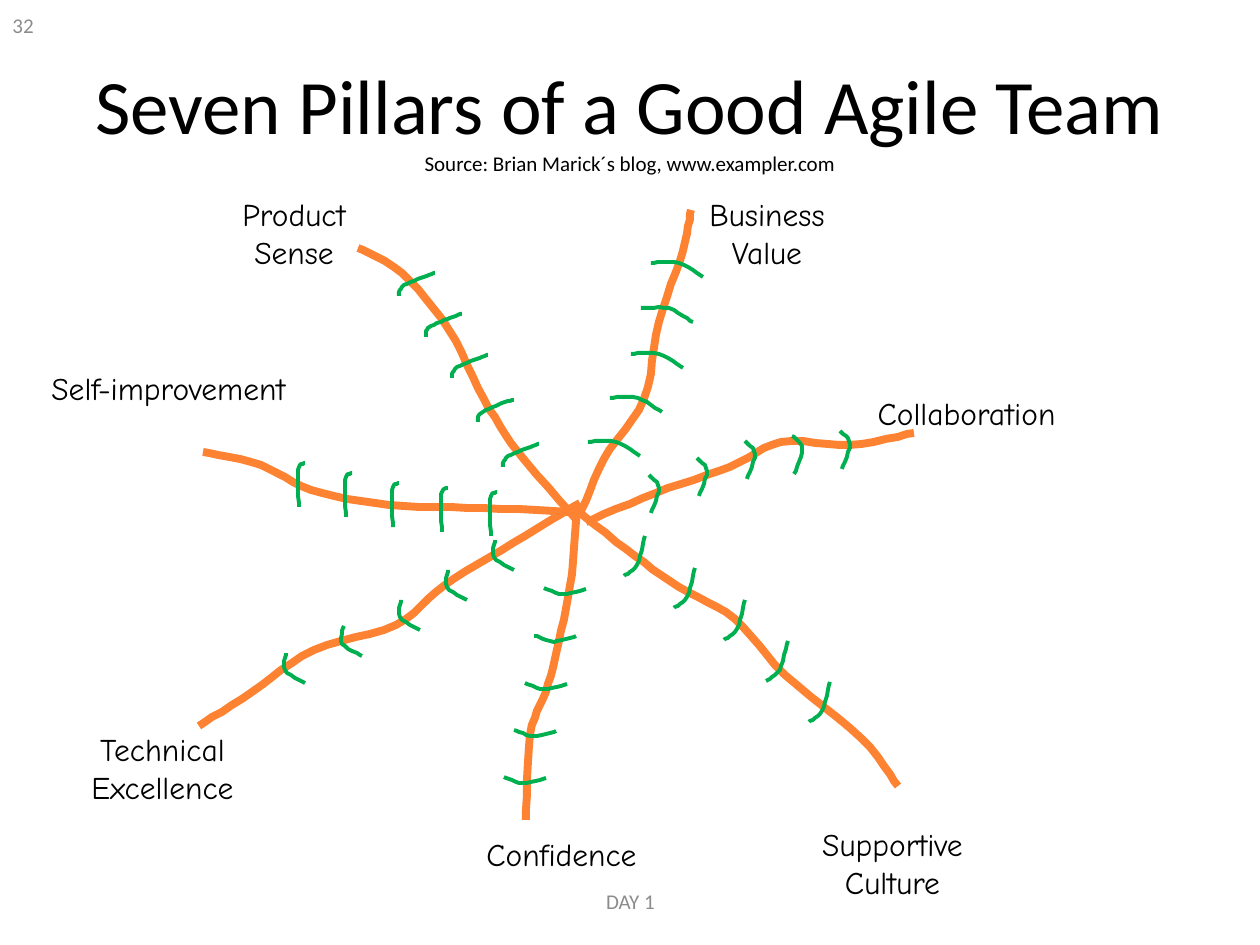
from pptx import Presentation
from pptx import util as u
from pptx.dml.color import RGBColor
from pptx.enum import text

PX = 914400 / 126

THEME = {
    "black": RGBColor.from_string("000000"),
    "grey": RGBColor.from_string("8C8C8C"),
    "pillar": RGBColor.from_string("FD8231"),
    "tick": RGBColor.from_string("00B050"),
    "pillar_width": 4.5,
    "tick_width": 2.25,
    "title_size": 44,
    "small_size": 12,
    "label_size": 18,
    "body_font": "Calibri",
    "label_font": "Comic Neue",
}
LINE_HEIGHTS = {1: 50, 2: 89}

TITLE = "Seven Pillars of a Good Agile Team"
SOURCE = "Source: Brian Marick´s blog, www.exampler.com"
TITLE_BOX = (63, 38, 1134, 157)

# text, box, alignment
MARGINALIA = [
    ("DAY 1", (431, 876, 399, 50), text.PP_ALIGN.CENTER),
    ("32", (0, 0, 294, 50), text.PP_ALIGN.LEFT),
]

# label: left, top, width, lines
# line: points of the pillar from the hub outwards
# tick: bends of one tick relative to its start
# at: starts of the first, middle and last of the five ticks
PILLARS = [
    {"name": "Supportive Culture", "label": (777, 819, 231, 2),
     "line": [(571, 505), (626, 549), (679, 587), (735, 619), (785, 675), (861, 738), (898, 786)],
     "tick": [(13, -11), (21, -40)],
     "at": [(624, 576), (724, 640), (809, 722)]},
    {"name": "Confidence", "label": (462, 829, 199, 1),
     "line": [(577, 505), (572, 575), (559, 641), (546, 692), (530, 735), (526, 820)],
     "tick": [(19, 6), (42, 1)],
     "at": [(544, 588), (525, 683), (504, 777)]},
    {"name": "Technical Excellence", "label": (63, 724, 199, 2),
     "line": [(580, 503), (513, 543), (445, 585), (396, 625), (314, 650), (252, 692), (199, 726)],
     "tick": [(-20, -13), (-19, -30)],
     "at": [(514, 570), (420, 630), (305, 683)]},
    {"name": "Self-improvement", "label": (32, 363, 273, 2),
     "line": [(577, 512), (483, 508), (389, 505), (311, 490), (261, 465), (203, 452)],
     "tick": [(-1, -37), (6, -44)],
     "at": [(491, 536), (393, 527), (299, 507)]},
    {"name": "Product Sense", "label": (189, 189, 210, 2),
     "line": [(575, 518), (518, 452), (484, 399), (449, 330), (402, 273), (358, 248)],
     "tick": [(-14, 5), (-33, 14), (-36, 23)],
     "at": [(539, 444), (488, 355), (435, 273)]},
    {"name": "Business Value", "label": (662, 189, 210, 2),
     "line": [(580, 515), (604, 459), (644, 399), (659, 322), (683, 251), (691, 210)],
     "tick": [(-24, -14), (-52, -14)],
     "at": [(640, 456), (683, 368), (703, 277)]},
    {"name": "Collaboration", "label": (851, 388, 231, 1),
     "line": [(586, 522), (656, 493), (730, 467), (781, 442), (850, 445), (914, 433)],
     "tick": [(8, -25), (-2, -38)],
     "at": [(651, 513), (747, 479), (842, 469)]},
]


def emu(lengths):
    return [u.Emu(round(length * PX)) for length in lengths]


def smooth(points, steps=6):
    """Run a Catmull-Rom curve through the points."""
    padded = [points[0], *points, points[-1]]
    curve = [points[0]]
    for before, start, end, after in zip(padded, padded[1:], padded[2:], padded[3:]):
        for step in range(1, steps + 1):
            t = step / steps
            curve.append(tuple(
                b + t * (c - a + t * (2 * a - 5 * b + 4 * c - d + t * (3 * b - a - 3 * c + d))) / 2
                for a, b, c, d in zip(before, start, end, after)))
    return curve


def with_midpoints(points):
    (x1, y1), (x2, y2), (x3, y3) = points
    return [(x1, y1), ((x1 + x2) / 2, (y1 + y2) / 2), (x2, y2),
            ((x2 + x3) / 2, (y2 + y3) / 2), (x3, y3)]


def add_stroke(slide, points, kind):
    """Draw an open curve in the theme style of a pillar or a tick."""
    curve = smooth(points)
    builder = slide.shapes.build_freeform(*curve[0], scale=PX)
    builder.add_line_segments(curve[1:], close=False)
    stroke = builder.convert_to_shape()
    stroke.shadow.inherit = False
    stroke.fill.background()
    stroke.line.color.rgb = THEME[kind]
    stroke.line.width = u.Pt(THEME[kind + "_width"])


def style(font, name, size, color):
    font.name = THEME[name]
    font.size = u.Pt(THEME[size])
    font.color.rgb = THEME[color]


def add_text(slide, words, box, align, anchor, *look):
    frame = slide.shapes.add_textbox(*emu(box)).text_frame
    frame.word_wrap = True
    frame.vertical_anchor = anchor
    paragraph = frame.paragraphs[0]
    paragraph.text = words
    paragraph.alignment = align
    style(paragraph.font, *look)


def add_title(slide):
    title = slide.shapes.title
    title.left, title.top, title.width, title.height = emu(TITLE_BOX)
    title.text_frame.vertical_anchor = text.MSO_ANCHOR.MIDDLE
    heading = title.text_frame.paragraphs[0]
    heading.alignment = text.PP_ALIGN.CENTER
    style(heading.font, "body_font", "title_size", "black")
    heading.add_run().text = TITLE
    heading.add_line_break()
    source = heading.add_run()
    source.text = SOURCE
    source.font.size = u.Pt(THEME["small_size"])


def main():
    deck = Presentation()
    deck.slide_width, deck.slide_height = u.Inches(10), u.Inches(7.5)
    slide = deck.slides.add_slide(deck.slide_layouts[5])
    add_title(slide)
    for words, box, align in MARGINALIA:
        add_text(slide, words, box, align, text.MSO_ANCHOR.MIDDLE,
                 "body_font", "small_size", "grey")
    for pillar in PILLARS:
        add_stroke(slide, pillar["line"], "pillar")
    for pillar in PILLARS:
        *place, lines = pillar["label"]
        add_text(slide, pillar["name"], (*place, LINE_HEIGHTS[lines]), text.PP_ALIGN.CENTER,
                 text.MSO_ANCHOR.TOP, "label_font", "label_size", "black")
        for x, y in with_midpoints(pillar["at"]):
            bends = [(x + dx, y + dy) for dx, dy in pillar["tick"]]
            add_stroke(slide, [(x, y), *bends], "tick")
    deck.save("out.pptx")


if __name__ == "__main__":
    main()
